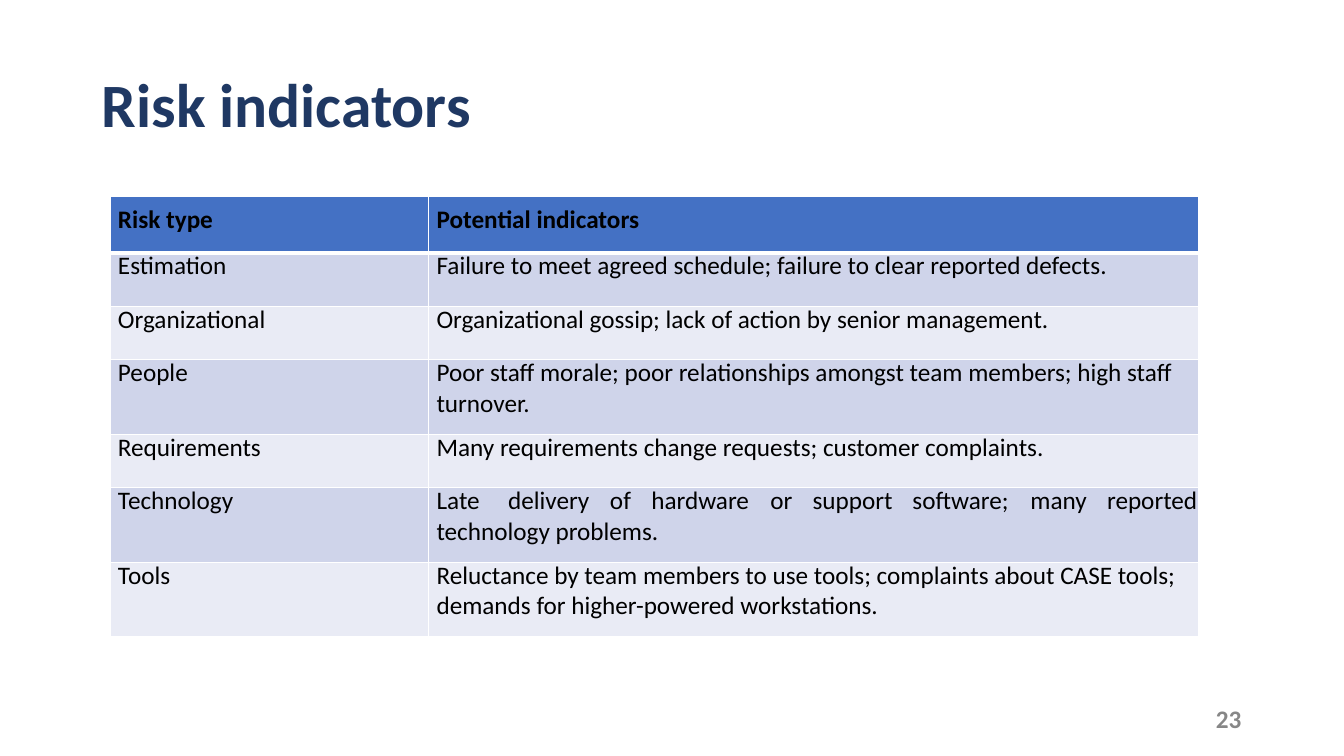
import pptx
import pptx.dml.color
import pptx.enum.text
import pptx.util
from dataclasses import dataclass
from lxml import etree
from pptx.oxml.ns import qn

Inches = pptx.util.Inches
Pt = pptx.util.Pt
RGB = pptx.dml.color.RGBColor.from_string


@dataclass(frozen=True)
class Theme:
    font: str = "Calibri"
    navy: str = "1F3863"
    gray: str = "878787"
    black: str = "000000"
    white: str = "FFFFFF"
    head: str = "4471C4"
    bands: tuple = ("CFD4EA", "E9EBF5")
    big: int = 44
    body: int = 18


THEME = Theme()

COLS = (3.16, 7.64)
HIGH = {0: 0.56, 1: 0.53, 2: 0.74}  # header row, then rows by line count
TABS = (0.71, 1.72, 2.13, 3.31, 3.73, 4.72, 5.89, 6.65)
HEAD = ("Risk type", "Potential indicators")
RISKS = (
    ("Estimation", ["Failure to meet agreed schedule; failure to clear reported defects."]),
    ("Organizational", ["Organizational gossip; lack of action by senior management."]),
    ("People", ["Poor staff morale; poor relationships amongst team members; high staff",
                "turnover."]),
    ("Requirements", ["Many requirements change requests; customer complaints."]),
    ("Technology", ["Late\tdelivery\tof\thardware\tor\tsupport\tsoftware;\tmany\treported",
                    "technology problems."]),
    ("Tools", ["Reluctance by team members to use tools; complaints about CASE tools;",
               "demands for higher-powered workstations."]),
)


def apply(target, values):
    for name, value in values.items():
        setattr(target, name, value)


def add_tabs(para):
    stops = etree.SubElement(para._p.get_or_add_pPr(), qn("a:tabLst"))
    for pos in TABS:
        etree.SubElement(stops, qn("a:tab"), pos=str(Inches(pos)), algn="l")


def write(frame, lines, size, color, bold=False, lead=None, left=0, top=0):
    """Fill a text frame, one paragraph per line; lead sets the first line's pitch."""
    apply(frame, {"word_wrap": True, "margin_left": Inches(left), "margin_top": Inches(top),
                  "margin_right": 0, "margin_bottom": 0,
                  "vertical_anchor": pptx.enum.text.MSO_ANCHOR.TOP})
    for i, line in enumerate(lines):
        para = frame.add_paragraph() if i else frame.paragraphs[0]
        para.alignment = pptx.enum.text.PP_ALIGN.LEFT
        if lead and i == 0:
            para.line_spacing = Pt(lead)
        if "\t" in line:
            add_tabs(para)
        run = para.add_run()
        run.text = line
        apply(run.font, {"name": THEME.font, "size": Pt(size), "bold": bold})
        run.font.color.rgb = RGB(color)


def place(shape, left, top, width, height):
    apply(shape, {"left": Inches(left), "top": Inches(top),
                  "width": Inches(width), "height": Inches(height)})


def add_edges(cell, widths):
    props = cell._tc.get_or_add_tcPr()
    for side, width in widths.items():
        line = etree.SubElement(props, qn(f"a:ln{side}"), w=str(Pt(width)))
        fill = etree.SubElement(line, qn("a:solidFill"))
        etree.SubElement(fill, qn("a:srgbClr"), val=THEME.white)


def fill_cell(cell, lines, row):
    add_edges(cell, {"L": 1, "R": 1, "T": 3 if row == 1 else 1, "B": 1 if row else 3})
    cell.fill.solid()
    cell.fill.fore_color.rgb = RGB(THEME.bands[(row - 1) % 2] if row else THEME.head)
    # Cell margins and anchor sit on the cell, not on its text frame
    write(cell.text_frame, lines, THEME.body, THEME.black, bold=row == 0,
          lead=20.4 if row else None)
    apply(cell, {"margin_left": Inches(0.08), "margin_top": Inches(0 if row else 0.08),
                 "margin_right": 0, "margin_bottom": 0,
                 "vertical_anchor": pptx.enum.text.MSO_ANCHOR.TOP})
    body = cell.text_frame._txBody.bodyPr
    body.attrib.clear()


def add_grid(slide):
    rows = [(HEAD[0], [HEAD[1]]), *RISKS]
    highs = [HIGH[len(lines) if i else 0] for i, (_, lines) in enumerate(rows)]
    table = slide.shapes.add_table(len(rows), len(COLS), Inches(1.09), Inches(1.95),
                                   Inches(sum(COLS)), Inches(sum(highs))).table
    for col, width in zip(table.columns, COLS):
        col.width = Inches(width)
    for i, (kind, lines) in enumerate(rows):
        table.rows[i].height = Inches(highs[i])
        fill_cell(table.cell(i, 0), [kind], i)
        fill_cell(table.cell(i, 1), lines, i)


def main():
    deck = pptx.Presentation()
    apply(deck, {"slide_width": Inches(13.33), "slide_height": Inches(7.5)})
    slide = deck.slides.add_slide(deck.slide_layouts[5])

    # Title
    title = slide.shapes.title
    place(title, 0.54, 0.63, 12.18, 0.83)
    write(title.text_frame, ["Risk indicators"], THEME.big, THEME.navy,
          bold=True, left=0.47, top=0.02)

    # Risk table
    add_grid(slide)

    # Page number
    page = slide.shapes.add_textbox(Inches(12.05), Inches(7.03), Inches(0.32), Inches(0.28))
    write(page.text_frame, ["23"], THEME.body, THEME.gray, bold=True, lead=18.1, left=0.01)

    deck.save("out.pptx")


if __name__ == "__main__":
    main()
